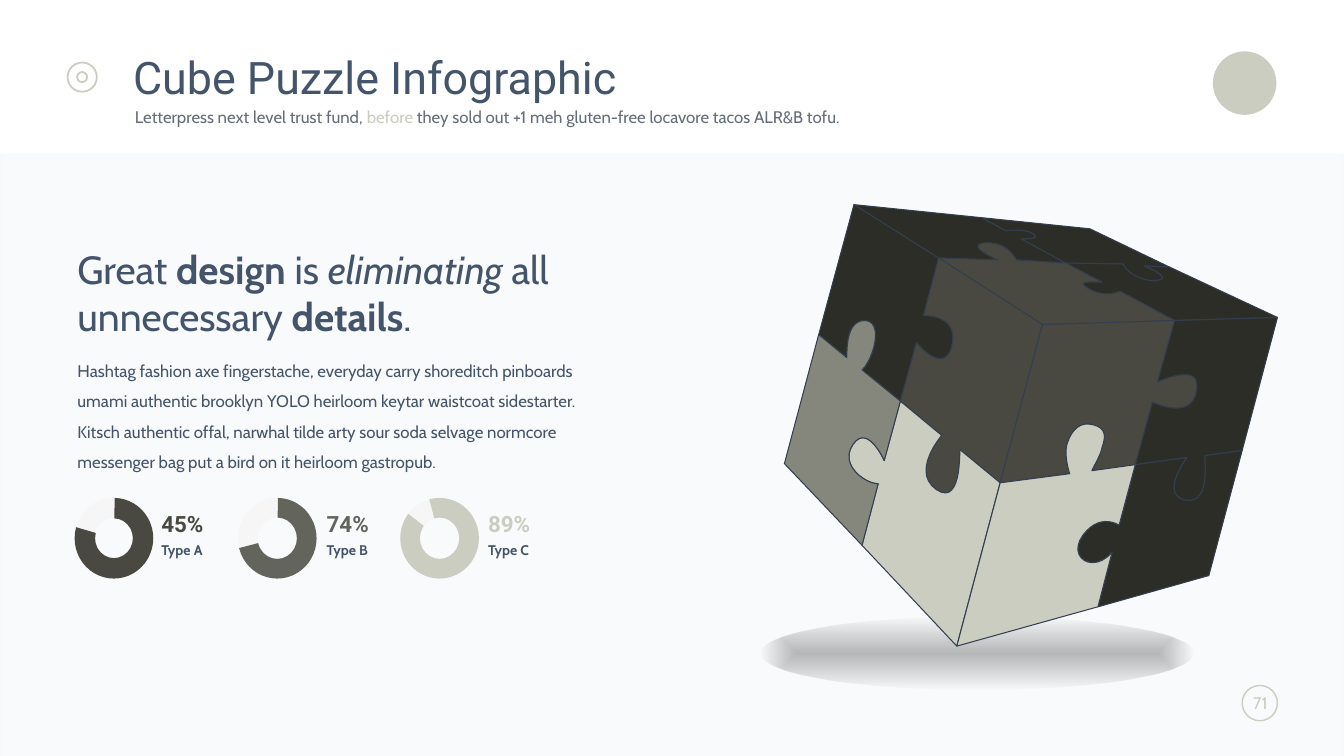
from dataclasses import dataclass

from pptx import Presentation
from pptx.dml.color import RGBColor
from pptx.enum.shapes import MSO_SHAPE
from pptx.enum.text import MSO_ANCHOR, MSO_AUTO_SIZE, PP_ALIGN
from pptx.oxml import parse_xml
from pptx.oxml.ns import nsdecls, qn
from pptx.util import Inches, Pt


@dataclass(frozen=True)
class Theme:
    dark: str = "2D2D27"
    brown: str = "494941"
    olive: str = "63645C"
    grey: str = "85877C"
    light: str = "CBCDC0"
    track: str = "F6F6F6"
    navy: str = "44546A"
    edge: str = "333F50"
    muted: str = "656D78"
    panel: str = "7B8DB3"
    panel_edge: str = "EBEBEB"
    title: int = 32
    heading: int = 28
    percent: int = 16
    body: int = 12
    label: int = 10
    display_font: str = "Roboto"
    text_font: str = "Cabin"


THEME = Theme()
COLUMNS, ROWS = 1333, 750
CELL = Inches(0.01)
CURVE_STEPS = 12

deck = Presentation()
deck.slide_width, deck.slide_height = COLUMNS * CELL, ROWS * CELL
slide = deck.slides.add_slide(deck.slide_layouts[5])
shapes = slide.shapes


def draw(kind, box, fill=None, line=None, weight=1.0):
    """Add a preset shape on a box of grid cells."""
    shape = shapes.add_shape(kind, *[round(cells * CELL) for cells in box])
    shape.shadow.inherit = False
    if fill:
        shape.fill.solid()
        shape.fill.fore_color.rgb = RGBColor.from_string(fill)
    else:
        shape.fill.background()
    if line:
        shape.line.color.rgb = RGBColor.from_string(line)
        shape.line.width = Pt(weight)
    else:
        shape.line.fill.background()
    return shape


def write(holder, box, runs, size, font=THEME.text_font, spacing=1.0, **frame_format):
    """Place a text holder on the grid and fill it with (text, colour, emphasis) runs."""
    for side, cells in zip(("left", "top", "width", "height"), box):
        setattr(holder, side, cells * CELL)
    frame = holder.text_frame
    settings = {"word_wrap": True, "auto_size": MSO_AUTO_SIZE.NONE,
                "vertical_anchor": MSO_ANCHOR.TOP, **frame_format}
    for name, value in settings.items():
        setattr(frame, name, value)
    paragraph = frame.paragraphs[0]
    paragraph.line_spacing = spacing
    paragraph.alignment = PP_ALIGN.LEFT
    for text, color, emphasis in runs:
        run = paragraph.add_run()
        run.text = text
        for name, value in {"name": font, "size": Pt(size), **emphasis}.items():
            setattr(run.font, name, value)
        run.font.color.rgb = RGBColor.from_string(color)
    return paragraph


BOLD, ITALIC, PLAIN = {"bold": True}, {"italic": True}, {}
NO_INSETS = {f"margin_{side}": 0 for side in ("left", "top", "right", "bottom")}

# Header and page furniture
draw(MSO_SHAPE.OVAL, (1203, 51, 63, 63), THEME.light)
panel = draw(MSO_SHAPE.RECTANGLE, (0, 153, COLUMNS, 598), THEME.panel, THEME.panel_edge, 2)
for color, percent in zip(panel._element.spPr.iter(qn("a:srgbClr")), (4, 10)):
    color.append(parse_xml(f'<a:alpha {nsdecls("a")} val="{percent * 1000}"/>'))
for diameter in (29, 10):
    draw(MSO_SHAPE.OVAL, (81.5 - diameter / 2, 76.5 - diameter / 2, diameter, diameter),
         line=THEME.light, weight=1.25)
draw(MSO_SHAPE.OVAL, (1232, 680, 35, 35), line=THEME.light)
page_number = write(shapes.add_textbox(0, 0, 0, 0), (1231, 682, 38, 30),
                    [("71", THEME.light, PLAIN)], THEME.body, word_wrap=False)
page_number.alignment = PP_ALIGN.CENTER

write(shapes.title, (122, 50, 1007, 53), [("Cube Puzzle Infographic", THEME.navy, PLAIN)],
      THEME.title, THEME.display_font, 0.9)
write(shapes.add_textbox(0, 0, 0, 0), (124, 103, 1005, 29), [
    ("Letterpress next level trust fund, ", THEME.muted, PLAIN),
    ("before", THEME.light, PLAIN),
    (" they sold out +1 meh gluten-free locavore tacos ALR&B tofu.", THEME.muted, PLAIN),
], THEME.body, spacing=0.9)

# Cube shadow
cube_shadow = draw(MSO_SHAPE.OVAL, (754, 612, 430, 72), THEME.dark)
stops = "".join(
    f'<a:gs pos="{position}"><a:srgbClr val="000000"><a:alpha val="{alpha}"/></a:srgbClr></a:gs>'
    for position, alpha in ((0, 27000), (100000, 0)))
fade = parse_xml(
    f'<a:gradFill {nsdecls("a")} rotWithShape="1"><a:gsLst>{stops}</a:gsLst><a:path path="shape">'
    '<a:fillToRect l="50000" t="50000" r="50000" b="50000"/></a:path></a:gradFill>')
shadow_format = cube_shadow._element.spPr
shadow_format.replace(shadow_format.find(qn("a:solidFill")), fade)

# Cube faces: seam n runs from the rim between corners n and n+1, via a neck
# and the curves of a knob, to the centre; piece n lies between seams n-1 and n.
BACK, RIGHT, FRONT, LEFT = (1081, 227), (1267, 315), (1034, 322), (847, 203)
BASE, LOW_LEFT, LOW_RIGHT = (949, 641), (778, 460), (1199, 571)
top_face = (
    (1057, 261), (LEFT, BACK, RIGHT, FRONT),
    (THEME.dark, THEME.dark, THEME.dark, THEME.brown),
    [((974, 216), (998, 229), (1004, 228, 1020, 227, 1026, 233), (1030, 237, 1020, 237, 1013, 237)),
     ((1160, 265), (1135, 264), (1146, 268, 1160, 276, 1149, 278), (1136, 281, 1117, 271, 1114, 262)),
     ((1165, 318), (1111, 289), (1104, 292, 1092, 294, 1079, 286), (1067, 279, 1082, 279, 1093, 280)),
     ((931, 256), (990, 258), (979, 253, 960, 243, 977, 241), (996, 240, 1005, 252, 1008, 258))])
left_face = (
    (893, 398), (LEFT, FRONT, BASE, LOW_LEFT),
    (THEME.dark, THEME.brown, THEME.light, THEME.grey),
    [((931, 256), (916, 313), (927, 313, 951, 317, 944, 344), (938, 367, 919, 352, 909, 340)),
     ((992, 479), (952, 446), (952, 468, 949, 499, 929, 486), (907, 471, 925, 443, 934, 432)),
     ((855, 541), (871, 480), (858, 480, 832, 461, 846, 441), (858, 423, 872, 446, 877, 457)),
     ((812, 332), (840, 355), (840, 344, 840, 318, 858, 318), (877, 319, 866, 357, 855, 367))])
right_face = (
    (1126, 461), (FRONT, RIGHT, LOW_RIGHT, BASE),
    (THEME.brown, THEME.dark, THEME.dark, THEME.light),
    [((1165, 318), (1148, 379), (1162, 373, 1190, 363, 1187, 386), (1184, 413, 1156, 405, 1143, 399)),
     ((1232, 447), (1195, 452), (1196, 468, 1198, 501, 1175, 496), (1155, 491, 1168, 467, 1177, 454)),
     ((1089, 602), (1103, 548), (1084, 570, 1058, 553, 1074, 531), (1089, 511, 1105, 518, 1110, 521)),
     ((992, 479), (1061, 470), (1059, 464, 1056, 451, 1058, 442), (1060, 434, 1067, 418, 1082, 421),
      (1099, 424, 1096, 435, 1093, 444), (1092, 451, 1085, 462, 1083, 467))])

for centre, corners, fills, seams in (top_face, left_face, right_face):
    seam_lines = []
    for rim, neck, *knob in seams:
        line = [rim, neck]
        for x1, y1, x2, y2, x3, y3 in knob:
            x0, y0 = line[-1]
            for step in range(1, CURVE_STEPS + 1):
                t = step / CURVE_STEPS
                weights = ((1 - t) ** 3, 3 * t * (1 - t) ** 2, 3 * t * t * (1 - t), t ** 3)
                line.append(tuple(sum(w * v for w, v in zip(weights, values))
                                  for values in ((x0, x1, x2, x3), (y0, y1, y2, y3))))
        seam_lines.append(line + [centre])
    for index, (corner, fill) in enumerate(zip(corners, fills)):
        outline = [corner, *seam_lines[index], *seam_lines[index - 1][::-1]]
        points = [(x * CELL, y * CELL) for x, y in outline]
        builder = shapes.build_freeform(*points[0])
        builder.add_line_segments(points[1:], close=True)
        piece = builder.convert_to_shape()
        piece.shadow.inherit = False
        piece.fill.solid()
        piece.fill.fore_color.rgb = RGBColor.from_string(fill)
        piece.line.color.rgb = RGBColor.from_string(THEME.edge)
        piece.line.width = Pt(0.75)

# Message
write(shapes.add_textbox(0, 0, 0, 0), (67, 238, 546, 104), [
    (text, THEME.navy, emphasis) for text, emphasis in (
        ("Great ", PLAIN), ("design", BOLD), (" is ", PLAIN), ("eliminating", ITALIC),
        (" all unnecessary ", PLAIN), ("details", BOLD), (".", PLAIN))
], THEME.heading)
write(shapes.add_textbox(0, 0, 0, 0), (67, 343, 532, 131), [(
    "Hashtag fashion axe fingerstache, everyday carry shoreditch pinboards umami authentic "
    "brooklyn YOLO heirloom keytar waistcoat sidestarter. Kitsch authentic offal, narwhal "
    "tilde arty sour soda selvage normcore messenger bag put a bird on it heirloom gastropub.",
    THEME.navy, PLAIN)], THEME.body, spacing=1.5)

# Rings with their shares
for ring_left, text_left, share, kind, color, arc in (
    (74, 160, "45%", "Type A", THEME.brown, (162.64, 117.75, 0.26)),
    (236, 324, "74%", "Type B", THEME.olive, (162.64, 99.36, 0.25)),
    (397, 484, "89%", "Type C", THEME.light, (153.14, 130.79, 0.25)),
):
    ring = (ring_left, 494, 78, 80)
    draw(MSO_SHAPE.DONUT, ring, THEME.track)
    share_arc = draw(MSO_SHAPE.BLOCK_ARC, ring, color)
    for index, value in enumerate(arc):
        share_arc.adjustments[index] = value
    write(shapes.add_textbox(0, 0, 0, 0), (text_left, 509, 49, 29), [(share, color, BOLD)],
          THEME.percent, THEME.display_font, 0.9, **NO_INSETS)
    write(shapes.add_textbox(0, 0, 0, 0), (text_left, 539, 49, 23), [(kind, THEME.navy, BOLD)],
          THEME.label, spacing=0.9, **NO_INSETS)

deck.save("out.pptx")
